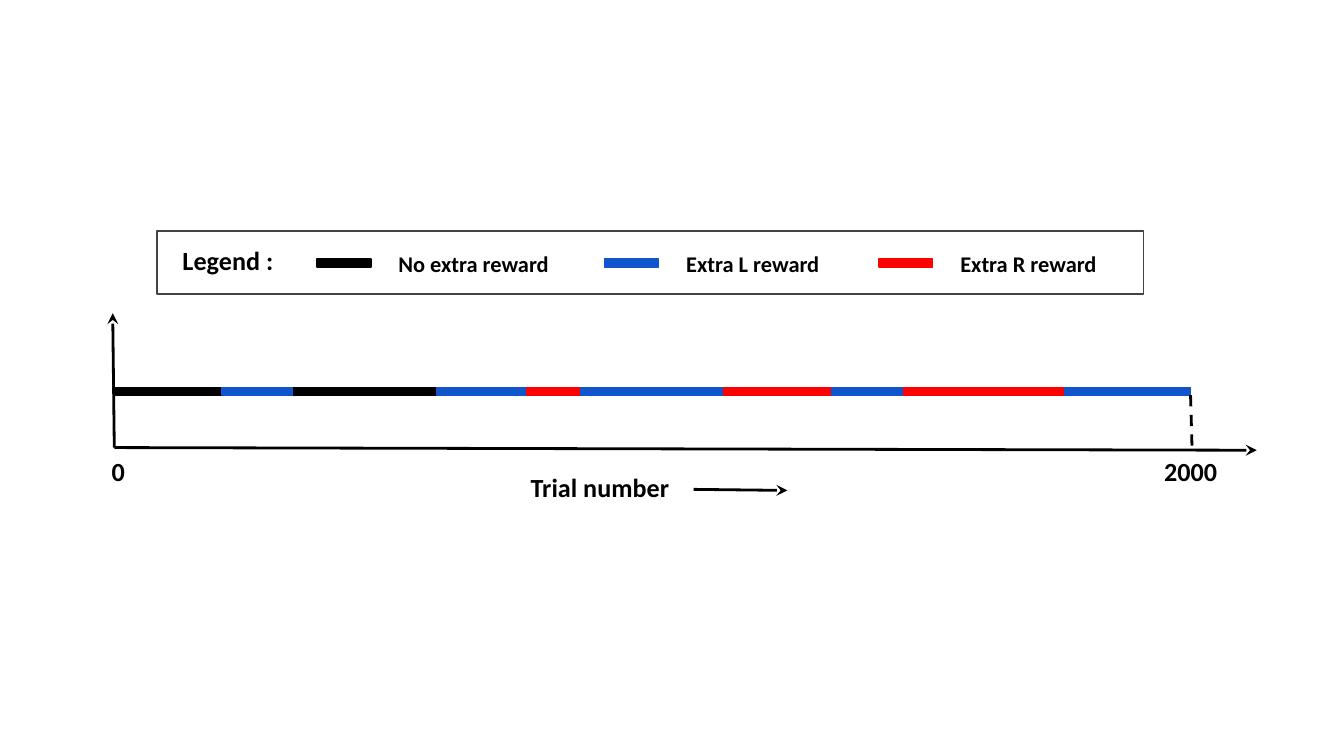
"""Build a slide showing reward blocks along a trial-number axis."""
from lxml.etree import SubElement
from pptx import Presentation
from pptx.dml.color import RGBColor
from pptx.enum.dml import MSO_LINE
from pptx.enum.shapes import MSO_CONNECTOR, MSO_SHAPE
from pptx.enum.text import MSO_ANCHOR, PP_ALIGN
from pptx.oxml.ns import qn
from pptx.util import Cm, Pt

BLACK, BLUE, RED, GREY = "000000", "1155CC", "FF0000", "434343"

BLOCKS = [
    (6, BLACK), (4, BLUE), (8, BLACK), (5, BLUE), (3, RED),
    (8, BLUE), (6, RED), (4, BLUE), (9, RED), (7, BLUE),
]
LEGEND = [
    ("No extra reward", BLACK, 5.99),
    ("Extra L reward", BLUE, 11.43),
    ("Extra R reward", RED, 16.61),
]
ARROWS = [
    (2.16, 8.46, 23.75, 8.51),
    (2.16, 8.46, 2.13, 5.92),
    (13.11, 9.25, 14.88, 9.27),
]
END_MARK = (22.5, 7.47, 22.53, 8.53)
TICKS = [("0", 1.65, 1.17), ("2000", 21.49, 2.03)]
BAR_LEFT, BAR_TOP, BAR_WIDTH, BAR_HEIGHT = 2.16, 7.32, 20.34, 0.15


def rgb(color):
    """Return a colour object for a hex string."""
    return RGBColor.from_string(color)


def add_rect(s, x, y, w, h, line, fill=None):
    """Add a rectangle, filled or hollow."""
    sp = s.shapes.add_shape(MSO_SHAPE.RECTANGLE, Cm(x), Cm(y), Cm(w), Cm(h))
    sp.shadow.inherit = False
    if fill:
        sp.fill.solid()
        sp.fill.fore_color.rgb = rgb(fill)
    else:
        sp.fill.background()
    sp.line.color.rgb = rgb(line)
    sp.line.width = Pt(0.75)


def add_line(s, x1, y1, x2, y2, arrow=False, dash=None):
    """Add a straight black line, with an optional arrowhead or dash."""
    cxn = s.shapes.add_connector(MSO_CONNECTOR.STRAIGHT, Cm(x1), Cm(y1), Cm(x2), Cm(y2))
    cxn.line.color.rgb = rgb(BLACK)
    cxn.line.width = Pt(1.5)
    if dash:
        cxn.line.dash_style = dash
    if arrow:
        SubElement(cxn.line._get_or_add_ln(), qn("a:tailEnd"), type="stealth")
    SubElement(cxn._element.spPr, qn("a:effectLst"))


def add_text(s, text, x, y, w, h, size=14, align=PP_ALIGN.LEFT, anchor=MSO_ANCHOR.MIDDLE):
    """Add a bold one-line label."""
    tf = s.shapes.add_textbox(Cm(x), Cm(y), Cm(w), Cm(h)).text_frame
    tf.word_wrap = True
    tf.vertical_anchor = anchor
    tf.margin_left = tf.margin_right = tf.margin_top = tf.margin_bottom = Cm(0.25)
    p = tf.paragraphs[0]
    p.alignment = align
    r = p.add_run()
    r.text = text
    r.font.name = "Calibri"
    r.font.size = Pt(size)
    r.font.bold = True
    r.font.color.rgb = rgb(BLACK)


def main():
    """Lay out the slide and save it."""
    prs = Presentation()
    prs.slide_width, prs.slide_height = Cm(25.4), Cm(14.29)
    s = prs.slides.add_slide(prs.slide_layouts[6])

    unit = BAR_WIDTH / sum(length for length, _ in BLOCKS)
    x = BAR_LEFT
    for length, color in BLOCKS:
        add_rect(s, x, BAR_TOP, length * unit, BAR_HEIGHT, color, color)
        x += length * unit

    for ends in ARROWS:
        add_line(s, *ends, arrow=True)
    add_line(s, *END_MARK, dash=MSO_LINE.DASH)

    for text, x, w in TICKS:
        add_text(s, text, x, 8.53, w, 0.76, align=PP_ALIGN.CENTER)
    add_text(s, "Trial number", 9.78, 8.53, 3.3, 1.37)

    add_rect(s, 2.97, 4.37, 18.64, 1.19, GREY)
    add_text(s, "Legend :", 3.2, 4.37, 3.25, 1.19, anchor=MSO_ANCHOR.TOP)
    for text, color, x in LEGEND:
        add_rect(s, x, 4.9, 1.02, BAR_HEIGHT, color, color)
        add_text(s, text, x + 1.29, 4.5, 4.06, 0.97, size=12)

    prs.save("out.pptx")


if __name__ == "__main__":
    main()
